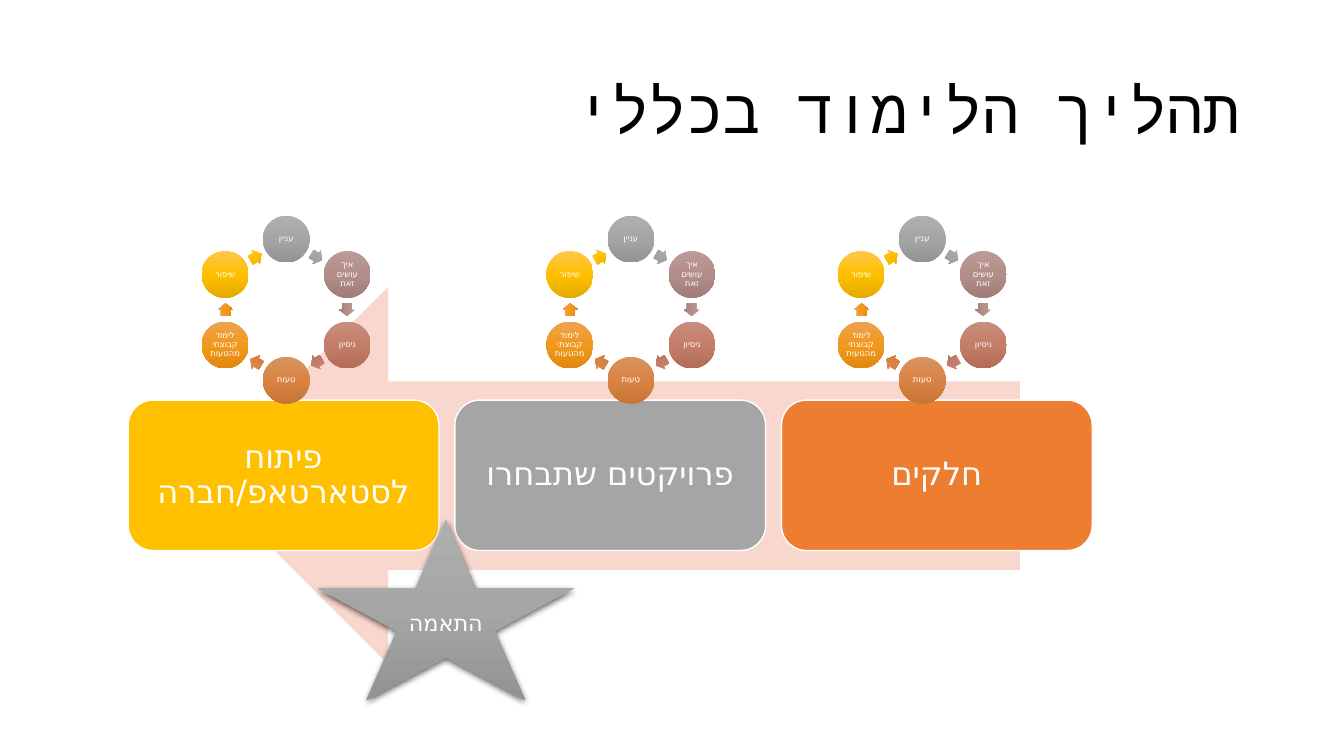
"""Build the slide on the general learning process: three stages, each with a cycle."""
from copy import deepcopy
from math import cos, radians, sin

from lxml.etree import SubElement
from pptx import Presentation
from pptx.dml.color import RGBColor
from pptx.enum.shapes import MSO_SHAPE
from pptx.enum.text import MSO_ANCHOR, PP_ALIGN
from pptx.oxml.ns import qn
from pptx.util import Pt

THEME = {
    "font": "DejaVu Sans", "title_font": "Courier New",
    "title": "000000", "text": "FFFFFF", "outline": "FFFFFF", "arrow": "F8D7CE",
    "stages": ["FFC000", "A5A5A5", "ED7D31"],
    "gray": ["AFAFAF", "A5A5A5", "939393"],
    "cycle": [
        ["AFAFAF", "A5A5A5", "939393"],
        ["BA9B97", "B38E88", "A17D77"],
        ["C78F7E", "C47D68", "B36C57"],
        ["D8935F", "D98444", "C87535"],
        ["ECA352", "F1981D", "E1890F"],
        ["FFC64B", "FFC000", "E3AB00"],
    ],
    "title_size": 44, "stage_size": 23, "star_size": 16, "cycle_size": 6,
}


def add_shape(shapes, kind, box, colors, outline=None):
    """Add a shadowless preset shape with a solid or vertical gradient fill."""
    sp = shapes.add_shape(kind, *map(Pt, box))
    sp.shadow.inherit = False
    if len(colors) == 1:
        sp.fill.solid()
        sp.fill.fore_color.rgb = RGBColor.from_string(colors[0])
    else:
        sp.fill.gradient()
        sp.fill.gradient_angle = 270
        stops = sp._element.spPr.find(".//" + qn("a:gsLst"))
        stops.append(deepcopy(stops[-1]))
        for i, (stop, color) in enumerate(zip(sp.fill.gradient_stops, colors)):
            stop.position = i / 2
            stop.color.rgb = RGBColor.from_string(color)
    if outline:
        sp.line.color.rgb = RGBColor.from_string(outline)
        sp.line.width = Pt(1)
    else:
        sp.line.fill.background()
    return sp


def write(sp, text, size, margin, color=THEME["text"], font=THEME["font"],
          align=PP_ALIGN.CENTER, spacing=0.9):
    """Fill a shape with one formatted paragraph and return the paragraph."""
    tf = sp.text_frame
    frame = {"word_wrap": True, "vertical_anchor": MSO_ANCHOR.MIDDLE}
    frame.update({f"margin_{side}": Pt(margin) for side in ("left", "right", "top", "bottom")})
    for name, value in frame.items():
        setattr(tf, name, value)
    p = tf.paragraphs[0]
    p.alignment, p.line_spacing = align, spacing
    r = p.add_run()
    r.text = text
    for name, value in {"name": font, "size": Pt(size)}.items():
        setattr(r.font, name, value)
    r.font.color.rgb = RGBColor.from_string(color)
    SubElement(r.font._element, qn("a:cs"), typeface=font)
    return p


prs = Presentation()
prs.slide_width, prs.slide_height = Pt(960), Pt(540)
s = prs.slides.add_slide(prs.slide_layouts[6])

title = s.shapes.add_textbox(Pt(66), Pt(28.75), Pt(828), Pt(104.4))
p = write(title, "תהליך הלימוד בכללי", THEME["title_size"], 7.2, THEME["title"],
          THEME["title_font"], PP_ALIGN.RIGHT)
p._p.get_or_add_pPr().set("rtl", "1")

process = s.shapes.add_group_shape().shapes
add_shape(process, MSO_SHAPE.LEFT_ARROW, (142.5, 205, 586, 269.5), [THEME["arrow"]])
stages = ["פיתוח לסטארטאפ/חברה", "פרויקטים שתבחרו", "חלקים"]
for i, (stage, color) in enumerate(zip(stages, THEME["stages"])):
    sp = add_shape(process, MSO_SHAPE.ROUNDED_RECTANGLE, (91.6 + 233.3 * i, 285.8, 222, 107.5),
                   [color], THEME["outline"])
    write(sp, stage, THEME["stage_size"], 6.9)

steps = ["עניין", "איך עושים זאת", "ניסיון", "טעות", "לימוד קבוצתי מהטעות", "שיפור"]
cy, ring, arrow_ring = 221.2, 50.4, 43.4
d, aw, ah = 33.4, 8.9, 11.3
for cx in (658.8, 450.7, 204.5):
    cycle = s.shapes.add_group_shape().shapes
    for i, (step, colors) in enumerate(zip(steps, THEME["cycle"])):
        a = radians(60 * i)
        x, y = cx + ring * sin(a), cy - ring * cos(a)
        sp = add_shape(cycle, MSO_SHAPE.OVAL, (x - d / 2, y - d / 2, d, d), colors)
        write(sp, step, THEME["cycle_size"], 0.6)
        turn = 60 * i + 30
        a = radians(turn)
        x, y = cx + arrow_ring * sin(a), cy - arrow_ring * cos(a)
        sp = add_shape(cycle, MSO_SHAPE.RIGHT_ARROW, (x - aw / 2, y - ah / 2, aw, ah), colors)
        sp.rotation = turn
        sp.adjustments[0] = 0.6

star = add_shape(s.shapes, MSO_SHAPE.STAR_5_POINT, (227, 371, 183, 129), THEME["gray"])
write(star, "התאמה", THEME["star_size"], 3.6, spacing=1.0)
effects = star._element.spPr.find(qn("a:effectLst"))
shadow = SubElement(effects, qn("a:outerShdw"), blurRad=str(Pt(4.5)), dist=str(Pt(1.5)),
                    dir="5400000", algn="ctr", rotWithShape="0")
black = SubElement(shadow, qn("a:srgbClr"), val="000000")
SubElement(black, qn("a:alpha"), val="63000")

prs.save("out.pptx")
